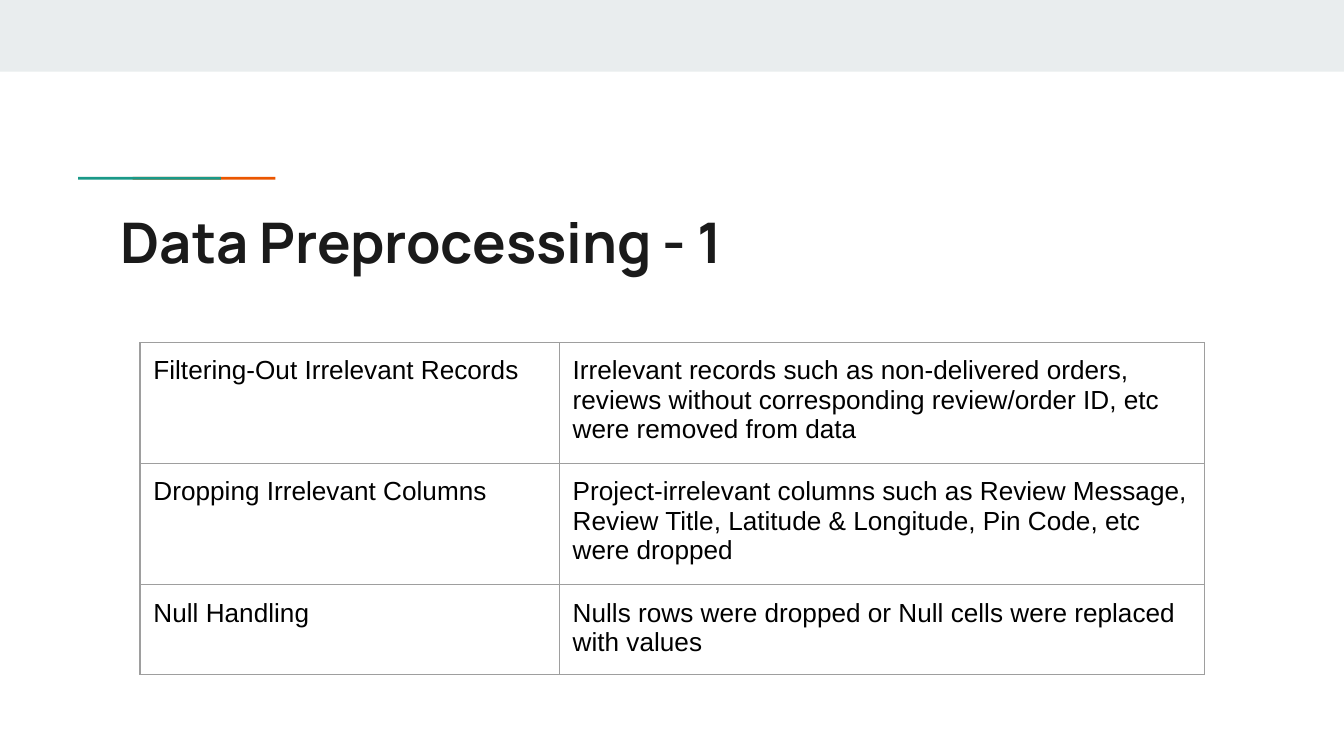
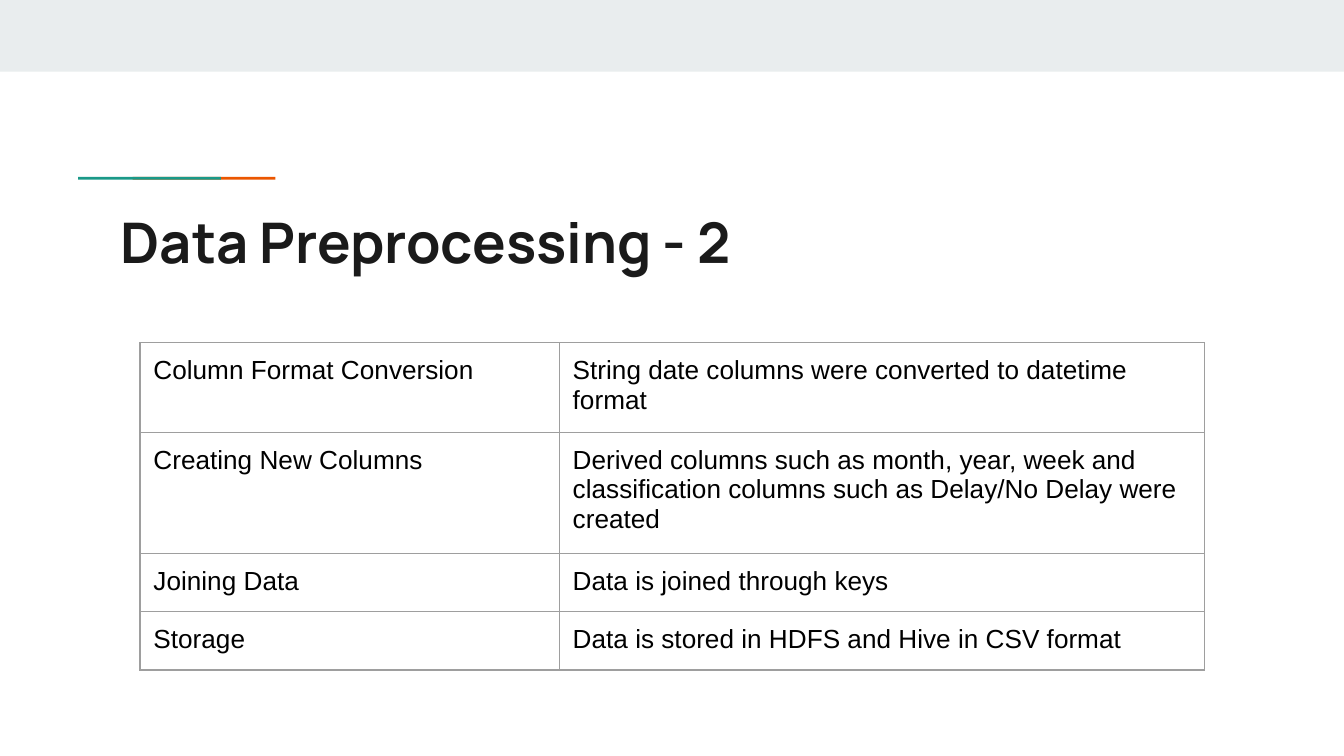
from dataclasses import dataclass

from lxml import etree
from pptx import Presentation
from pptx.dml.color import RGBColor
from pptx.enum.shapes import MSO_SHAPE
from pptx.enum.text import MSO_ANCHOR
from pptx.oxml.ns import qn
from pptx.util import Pt

RECTANGLE = MSO_SHAPE.RECTANGLE
TOP = MSO_ANCHOR.TOP
BLANK_LAYOUT = 6


@dataclass(frozen=True)
class Theme:
    band: str = "E9EDEE"
    teal: str = "1A9988"
    orange: str = "EB5600"
    title: str = "1A1A1A"
    text: str = "000000"
    border: str = "9E9E9E"
    title_font: str = "Manrope"
    text_font: str = "Arial"
    title_size: float = 30
    text_size: float = 14
    border_width: float = 0.75
    inset: float = 7.2


THEME = Theme()
SLIDE_WIDTH, SLIDE_HEIGHT = 720, 405
TABLE_LEFT, TABLE_TOP = 75, 183.6
COLUMN_WIDTHS = (224.64, 345.6)
LINE_HEIGHT = 15.7
ACCENT_TOP, ACCENT_WIDTH, ACCENT_HEIGHT = 94.8, 76.5, 1.5

TITLE_FORMAT = {"name": THEME.title_font, "size": Pt(THEME.title_size), "bold": True}
CELL_FORMAT = {"name": THEME.text_font, "size": Pt(THEME.text_size), "bold": False}
FRAME_FORMAT = {
    "margin_left": Pt(THEME.inset),
    "margin_right": Pt(THEME.inset),
    "margin_top": Pt(THEME.inset),
    "margin_bottom": Pt(THEME.inset),
    "vertical_anchor": TOP,
}

SLIDES = [
    ("Data Preprocessing - 1", [
        (3, "Filtering-Out Irrelevant Records",
         "Irrelevant records such as non-delivered orders, reviews without "
         "corresponding review/order ID, etc were removed from data"),
        (3, "Dropping Irrelevant Columns",
         "Project-irrelevant columns such as Review Message, Review Title, "
         "Latitude & Longitude, Pin Code, etc were dropped"),
        (2, "Null Handling",
         "Nulls rows were dropped or Null cells were replaced with values"),
    ]),
    ("Data Preprocessing - 2", [
        (2, "Column Format Conversion",
         "String date columns were converted to datetime format"),
        (3, "Creating New Columns",
         "Derived columns such as month, year, week and classification "
         "columns such as Delay/No Delay were created"),
        (1, "Joining Data", "Data is joined through keys"),
        (1, "Storage", "Data is stored in HDFS and Hive in CSV format"),
    ]),
]


def apply_format(target, values):
    for name, value in values.items():
        setattr(target, name, value)


def write_text(text_frame, text, font_format, color):
    paragraph = text_frame.paragraphs[0]
    run = paragraph.add_run()
    run.text = text
    apply_format(run.font, font_format)
    run.font.color.rgb = RGBColor.from_string(color)


def add_bar(slide, left, top, width, height, color):
    shape = slide.shapes.add_shape(RECTANGLE, Pt(left), Pt(top), Pt(width), Pt(height))
    shape.shadow.inherit = False
    shape.fill.solid()
    shape.fill.fore_color.rgb = RGBColor.from_string(color)
    shape.line.fill.background()


def add_decoration(slide):
    add_bar(slide, 0, 0, SLIDE_WIDTH, 38.5, THEME.band)
    for left, color in ((71, THEME.orange), (41.8, THEME.teal)):
        add_bar(slide, left, ACCENT_TOP, ACCENT_WIDTH, ACCENT_HEIGHT, color)


def add_title(slide, text):
    shape = slide.shapes.add_textbox(Pt(57.6), Pt(104.1), Pt(605.5), Pt(42.5))
    text_frame = shape.text_frame
    text_frame.word_wrap = True
    apply_format(text_frame, FRAME_FORMAT)
    write_text(text_frame, text, TITLE_FORMAT, THEME.title)


def add_borders(cell):
    properties = cell._tc.get_or_add_tcPr()
    for side in ("a:lnL", "a:lnR", "a:lnT", "a:lnB"):
        line = etree.SubElement(properties, qn(side), w=str(Pt(THEME.border_width)))
        fill = etree.SubElement(line, qn("a:solidFill"))
        etree.SubElement(fill, qn("a:srgbClr"), val=THEME.border)


def add_steps_table(slide, steps):
    heights = [2 * THEME.inset + lines * LINE_HEIGHT for lines, *_ in steps]
    frame = slide.shapes.add_table(
        len(steps), len(COLUMN_WIDTHS), Pt(TABLE_LEFT), Pt(TABLE_TOP),
        Pt(sum(COLUMN_WIDTHS)), Pt(sum(heights)))
    table = frame.table
    apply_format(table, {"first_row": False, "horz_banding": False})
    for column, width in zip(table.columns, COLUMN_WIDTHS):
        column.width = Pt(width)
    for row, height, (_, *texts) in zip(table.rows, heights, steps):
        row.height = Pt(height)
        for cell, text in zip(row.cells, texts):
            apply_format(cell, FRAME_FORMAT)
            add_borders(cell)
            cell.fill.background()
            write_text(cell.text_frame, text, CELL_FORMAT, THEME.text)


def main():
    presentation = Presentation()
    presentation.slide_width = Pt(SLIDE_WIDTH)
    presentation.slide_height = Pt(SLIDE_HEIGHT)
    for title, steps in SLIDES:
        slide = presentation.slides.add_slide(presentation.slide_layouts[BLANK_LAYOUT])
        add_decoration(slide)
        add_title(slide, title)
        add_steps_table(slide, steps)
    presentation.save("out.pptx")


if __name__ == "__main__":
    main()
